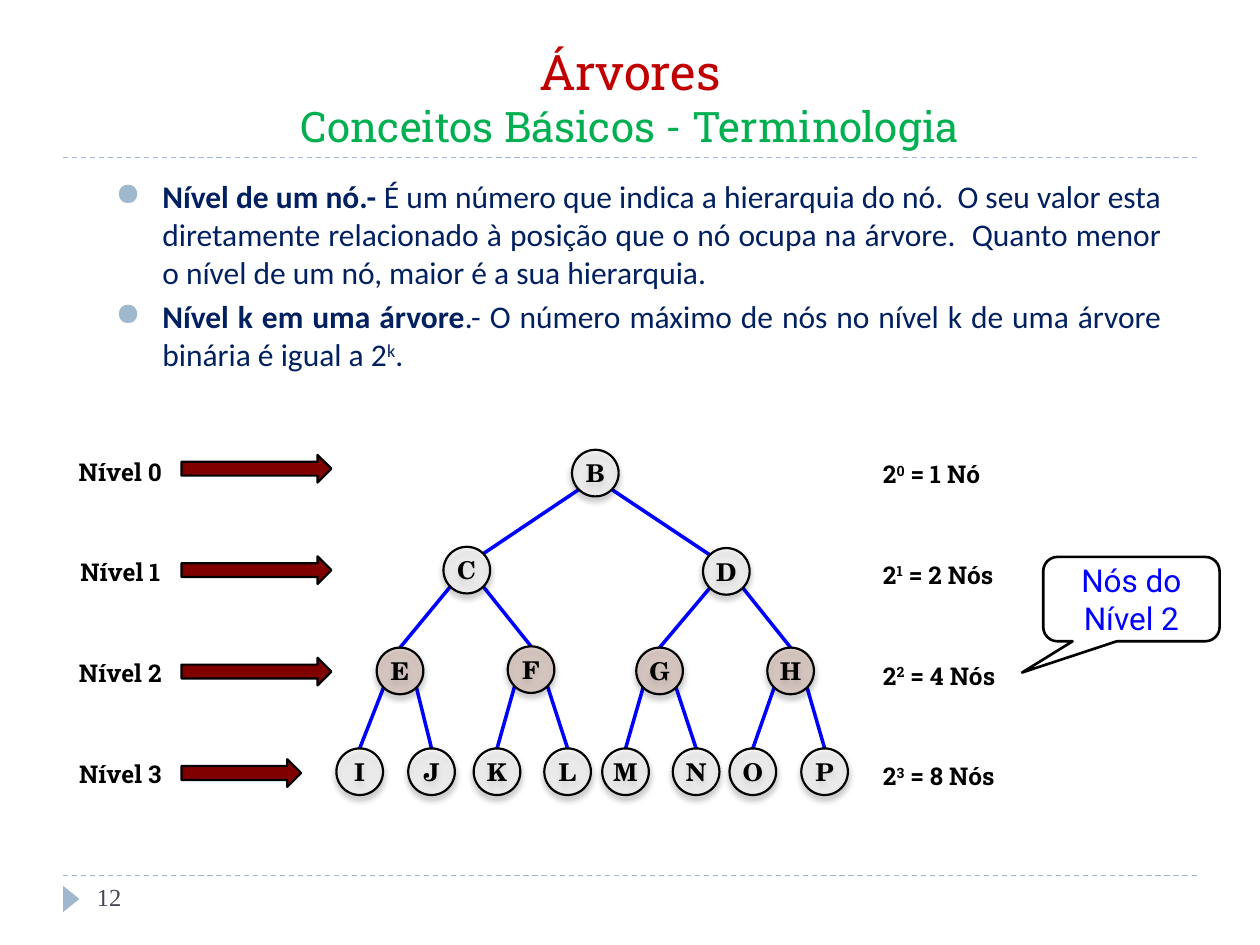
from lxml import etree
from pptx import Presentation
from pptx.dml.color import RGBColor
from pptx.enum.dml import MSO_LINE
from pptx.enum.shapes import MSO_CONNECTOR, MSO_SHAPE
from pptx.enum.text import MSO_ANCHOR, MSO_AUTO_SIZE, PP_ALIGN
from pptx.oxml.ns import qn
from pptx.util import Inches, Pt

BLACK = RGBColor(0x00, 0x00, 0x00)
WHITE = RGBColor(0xFF, 0xFF, 0xFF)
RED = RGBColor(0xC0, 0x00, 0x00)
GREEN = RGBColor(0x00, 0xB0, 0x50)
NAVY = RGBColor(0x00, 0x20, 0x60)
BLUE = RGBColor(0x00, 0x00, 0xFF)
MAROON = RGBColor(0x80, 0x00, 0x00)
STEEL = RGBColor(0x9F, 0xB8, 0xCD)
GRAY = RGBColor(0x46, 0x46, 0x53)
BEIGE = RGBColor(0xD3, 0xB4, 0xA9)

LEFT, CENTER, JUSTIFY = PP_ALIGN.LEFT, PP_ALIGN.CENTER, PP_ALIGN.JUSTIFY
TOP, MIDDLE, BOTTOM = MSO_ANCHOR.TOP, MSO_ANCHOR.MIDDLE, MSO_ANCHOR.BOTTOM

DEFINITIONS = [
    [("Nível de um nó.-", True, False),
     (" É um número que indica a hierarquia do nó.  O seu valor esta diretamente "
      "relacionado à posição que o nó ocupa na árvore.  Quanto menor o nível de um nó, "
      "maior é a sua hierarquia. ", False, False)],
    [("Nível k em uma árvore", True, False),
     (".- O número máximo de nós no nível k de uma árvore binária é igual a 2",
      False, False),
     ("k", False, True), (". ", False, False)],
]

NODE_SIZE = 0.37
CORNER = 0.13  # offset from a node's centre to a diagonal point on its rim
# Level by level: letter, left, top
TREE_LEVELS = [
    [("B", 4.54, 3.57)],
    [("C", 3.52, 4.34), ("D", 5.58, 4.35)],
    [("E", 2.99, 5.14), ("F", 4.03, 5.13), ("G", 5.05, 5.14), ("H", 6.09, 5.14)],
    [("I", 2.67, 5.94), ("J", 3.24, 5.94), ("K", 3.76, 5.94), ("L", 4.32, 5.94),
     ("M", 4.78, 5.94), ("N", 5.34, 5.94), ("O", 5.79, 5.94), ("P", 6.36, 5.94)],
]
HIGHLIGHTED_LEVEL = 2


def style_font(font, name, size, color, bold=False):
    font.name, font.size, font.bold = name, Pt(size), bold
    font.color.rgb = color


def add_run(paragraph, text, bold, superscript):
    run = paragraph.add_run()
    run.text = text
    run.font.bold = bold
    if superscript:
        run.font._element.set("baseline", "30000")


def add_text_frame(slide, left, top, width, height, anchor=TOP):
    frame = slide.shapes.add_textbox(
        Inches(left), Inches(top), Inches(width), Inches(height)).text_frame
    frame.word_wrap = True
    frame.vertical_anchor = anchor
    return frame


def add_shape(slide, kind, left, top, width, height, fill, line_width=None):
    shape = slide.shapes.add_shape(
        kind, Inches(left), Inches(top), Inches(width), Inches(height))
    shape.shadow.inherit = False
    shape.fill.solid()
    shape.fill.fore_color.rgb = fill
    if line_width:
        shape.line.color.rgb = BLACK
        shape.line.width = Pt(line_width)
    else:
        shape.line.fill.background()
    return shape


def fill_label(shape, lines, font_name, size, color, bold=False):
    """Write centred lines, one paragraph each, in a shape without margins."""
    frame = shape.text_frame
    frame.margin_left = frame.margin_right = frame.margin_top = frame.margin_bottom = 0
    frame.vertical_anchor = MIDDLE
    frame.text = "\n".join(lines)
    for paragraph in frame.paragraphs:
        paragraph.alignment = CENTER
        style_font(paragraph.font, font_name, size, color, bold)


def add_line(slide, start, end, color, width):
    line = slide.shapes.add_connector(
        MSO_CONNECTOR.STRAIGHT, *(Inches(value) for value in (*start, *end)))
    line.line.color.rgb = color
    line.line.width = Pt(width)
    etree.SubElement(line._element.spPr, qn("a:effectLst"))
    return line


def add_bullet(paragraph):
    properties = paragraph._p.get_or_add_pPr()
    properties.set("marL", str(Inches(0.37)))
    properties.set("indent", str(-Inches(0.37)))
    color = etree.SubElement(properties, qn("a:buClr"))
    etree.SubElement(color, qn("a:srgbClr"), val=str(STEEL))
    etree.SubElement(properties, qn("a:buChar"), char="●")


def make_translucent_with_shadow(shape):
    properties = shape._element.spPr
    fill_color = properties.find(qn("a:solidFill")).find(qn("a:srgbClr"))
    etree.SubElement(fill_color, qn("a:alpha"), val="50000")
    shadow = etree.SubElement(
        properties.find(qn("a:effectLst")), qn("a:outerShdw"), blurRad=str(Pt(3.5)),
        dist=str(Pt(2.2)), dir="5400000", rotWithShape="0")
    shadow_color = etree.SubElement(shadow, qn("a:srgbClr"), val=str(BLACK))
    etree.SubElement(shadow_color, qn("a:alpha"), val="32000")


def add_title(slide):
    title = slide.shapes.title
    title.left, title.top = Inches(0.5), Inches(0.25)
    title.width, title.height = Inches(9), Inches(1)
    frame = title.text_frame
    frame.auto_size = MSO_AUTO_SIZE.NONE
    frame.vertical_anchor = BOTTOM
    paragraph = frame.paragraphs[0]
    paragraph.alignment = CENTER
    heading = paragraph.add_run()
    heading.text = "Árvores"
    style_font(heading.font, "Roboto Slab", 28, RED)
    paragraph.add_line_break()
    subheading = paragraph.add_run()
    subheading.text = "Conceitos Básicos - Terminologia"
    style_font(subheading.font, "Roboto Slab", 24, GREEN)


def add_page_frame(slide):
    for y in (1.25, 6.95):
        rule = add_line(slide, (0.5, y), (9.5, y), STEEL, 0.75)
        rule.line.dash_style = MSO_LINE.DASH
    marker = add_shape(slide, MSO_SHAPE.ISOSCELES_TRIANGLE, 0.46, 7.07, 0.21, 0.13, STEEL)
    marker.rotation = 90
    number = add_text_frame(slide, 0.67, 6.95, 2.17, 0.4).paragraphs[0]
    number.text = "12"
    style_font(number.font, "Times New Roman", 14, GRAY)


def add_definitions(slide):
    frame = add_text_frame(slide, 0.82, 1.36, 8.5, 1.4)
    for index, runs in enumerate(DEFINITIONS):
        paragraph = frame.add_paragraph() if index else frame.paragraphs[0]
        paragraph.alignment = JUSTIFY
        paragraph.space_before = Pt(3.6 if index else 0)
        add_bullet(paragraph)
        style_font(paragraph.font, "Calibri", 18, NAVY)
        for run in runs:
            add_run(paragraph, *run)


def add_edge(slide, parent, child, side, to_corner):
    """Join a parent's lower rim to a child; side is -1 for left, 1 for right."""
    radius = NODE_SIZE / 2
    (_, parent_left, parent_top), (_, child_left, child_top) = parent, child
    start = (parent_left + radius + side * CORNER, parent_top + radius + CORNER)
    if to_corner:
        end = (child_left + radius - side * CORNER, child_top + radius - CORNER)
    else:
        end = (child_left + radius, child_top)
    add_line(slide, start, end, BLUE, 2)


def add_tree(slide):
    for level, (parents, children) in enumerate(zip(TREE_LEVELS, TREE_LEVELS[1:])):
        for index, child in enumerate(children):
            side = 1 if index % 2 else -1
            add_edge(slide, parents[index // 2], child, side, to_corner=level == 0)
    for level, nodes in enumerate(TREE_LEVELS):
        fill = BEIGE if level == HIGHLIGHTED_LEVEL else WHITE
        for letter, left, top in nodes:
            node = add_shape(
                slide, MSO_SHAPE.OVAL, left, top, NODE_SIZE, NODE_SIZE, fill, 1.25)
            make_translucent_with_shadow(node)
            fill_label(node, [letter], "TeX Gyre Schola", 14, BLACK, bold=True)


def add_level_row(slide, level, arrow_width):
    offset = 0.8 * level
    name = add_text_frame(slide, 0.46, 3.57 + offset, 0.99, 0.34, MIDDLE).paragraphs[0]
    name.text = f"Nível {level}"
    name.alignment = CENTER
    add_shape(slide, MSO_SHAPE.RIGHT_ARROW, 1.44, 3.61 + 0.805 * level,
              arrow_width, 0.22, MAROON, 1.25)
    count = add_text_frame(slide, 6.91, 3.59 + offset, 1.37, 0.34, MIDDLE).paragraphs[0]
    count.alignment = LEFT
    add_run(count, "2", True, False)
    add_run(count, str(level), True, True)
    add_run(count, f" = {2 ** level} {'Nós' if level else 'Nó'}", True, False)
    for paragraph in (name, count):
        style_font(paragraph.font, "Roboto Slab", 14, BLACK, bold=True)


def add_callout(slide):
    callout = add_shape(
        slide, MSO_SHAPE.ROUNDED_RECTANGULAR_CALLOUT, 8.28, 4.42, 1.4, 0.67, WHITE, 1.5)
    for index, value in enumerate((-0.62, 0.87, 0.17)):
        callout.adjustments[index] = value
    fill_label(callout, ["Nós do", "Nível 2"], "Roboto", 18, BLUE)


def main():
    presentation = Presentation()
    presentation.slide_width, presentation.slide_height = Inches(10), Inches(7.5)
    slide = presentation.slides.add_slide(presentation.slide_layouts[5])
    add_page_frame(slide)
    add_title(slide)
    add_definitions(slide)
    add_tree(slide)
    for level, arrow_width in enumerate((1.19, 1.19, 1.19, 0.95)):
        add_level_row(slide, level, arrow_width)
    add_callout(slide)
    presentation.save("out.pptx")


if __name__ == "__main__":
    main()
